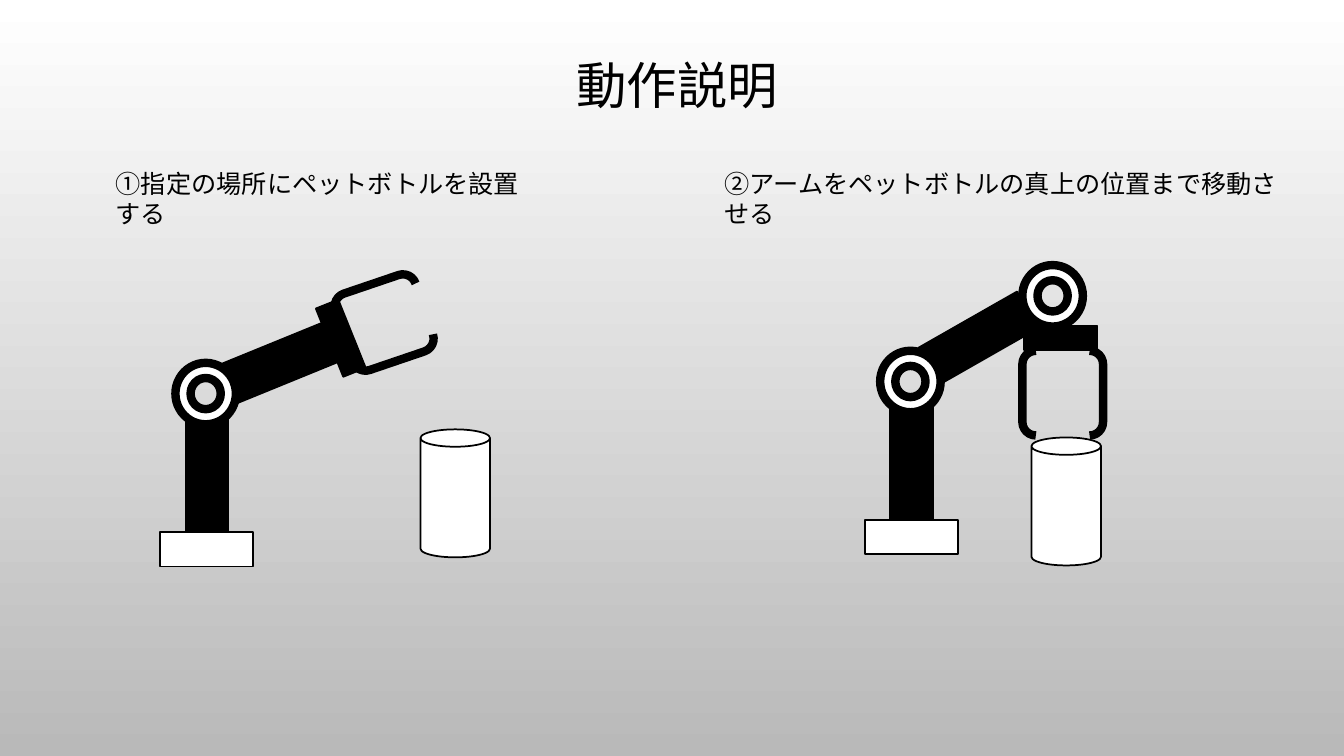
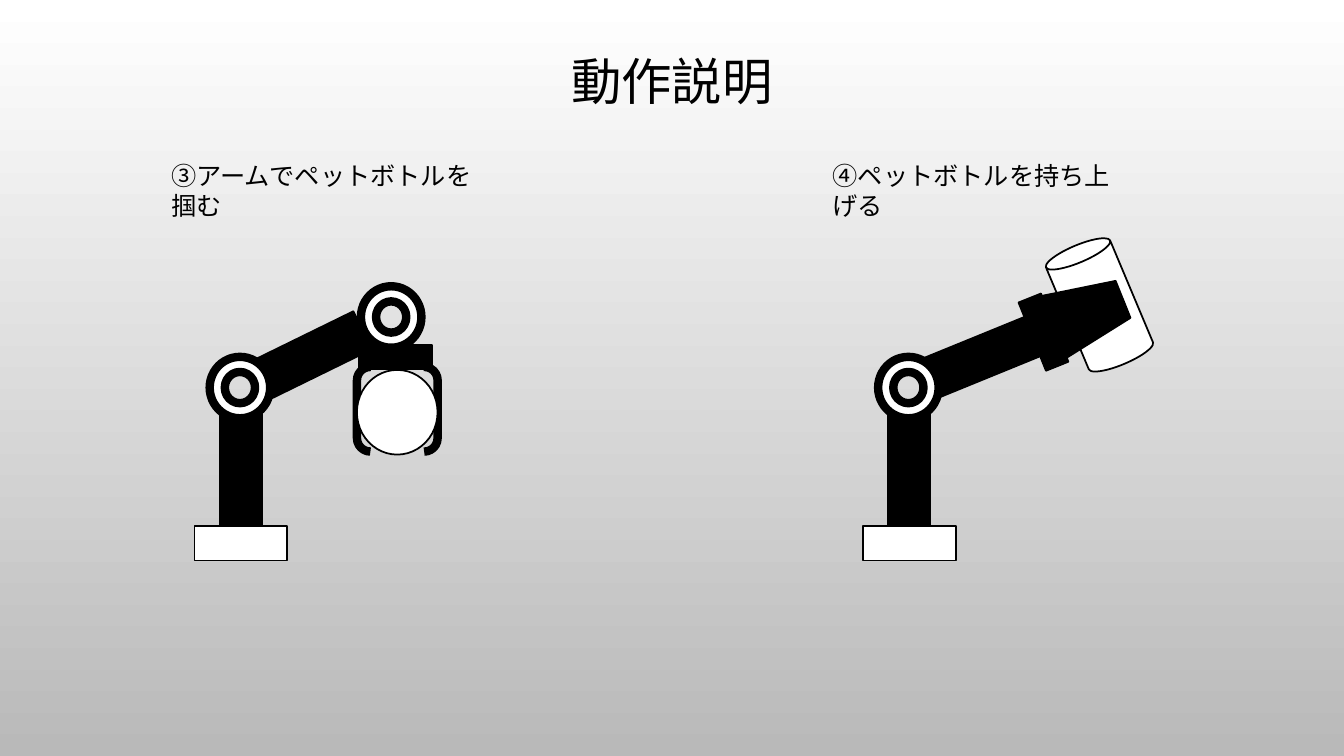
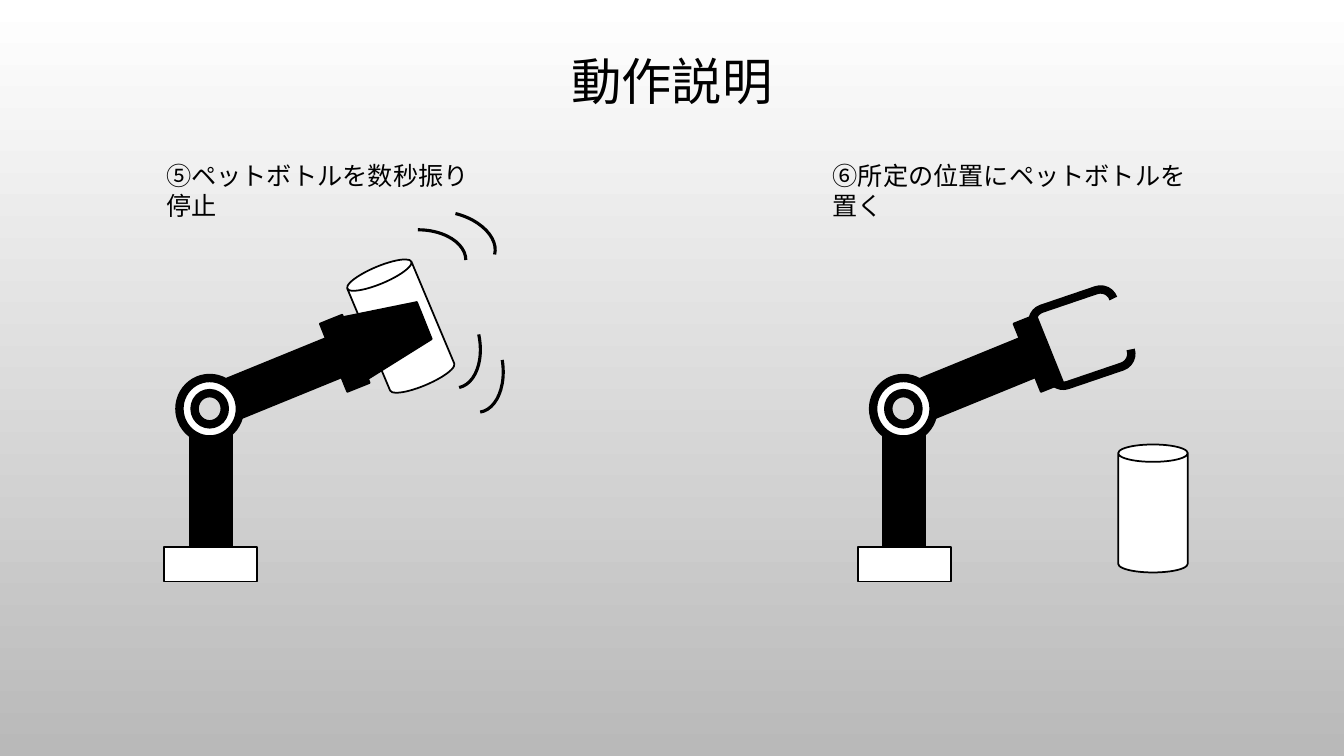
from dataclasses import dataclass
from typing import NamedTuple

from pptx import Presentation
from pptx.dml.color import RGBColor
from pptx.enum.shapes import MSO_SHAPE
from pptx.enum.text import MSO_ANCHOR, MSO_AUTO_SIZE, PP_ALIGN
from pptx.presentation import Presentation as Deck
from pptx.slide import Slide
from pptx.text.text import TextFrame
from pptx.util import Inches, Pt

PROCESS = MSO_SHAPE.FLOWCHART_PROCESS
CONNECTOR = MSO_SHAPE.FLOWCHART_CONNECTOR
MANUAL = MSO_SHAPE.FLOWCHART_MANUAL_OPERATION
RECT, DONUT, CAN = MSO_SHAPE.RECTANGLE, MSO_SHAPE.DONUT, MSO_SHAPE.CAN
BRACKETS, ARC = MSO_SHAPE.DOUBLE_BRACKET, MSO_SHAPE.ARC
CENTER, MIDDLE, TOP = PP_ALIGN.CENTER, MSO_ANCHOR.MIDDLE, MSO_ANCHOR.TOP
GROW = MSO_AUTO_SIZE.SHAPE_TO_FIT_TEXT

# Shared look
SLIDE_W, SLIDE_H = 13.33, 7.5
BLACK, WHITE, GRAY = "000000", "FFFFFF", "B9B9B9"
FONT = "Calibri"
TITLE = "動作説明"
TITLE_SIZE, CAPTION_SIZE = 36, 18
TITLE_W, TITLE_H = 0.85 * SLIDE_W, 1.75
CAPTION_H = 0.4
TITLE_ONLY = 5


class Look(NamedTuple):
    preset: MSO_SHAPE
    width: float
    height: float
    fill: str | None
    line: float = 1.25


LOOKS: dict[str, Look] = {
    "link": Look(PROCESS, 0.42, 1.13, BLACK),
    "base": Look(PROCESS, 0.92, 0.34, WHITE),
    "joint": Look(DONUT, 0.6, 0.61, WHITE, 6),
    "wrist": Look(RECT, 0.24, 0.73, BLACK),
    "open hand": Look(BRACKETS, 0.8, 0.84, None, 6),
    "closed hand": Look(MANUAL, 0.66, 0.73, BLACK),
    "bottle": Look(CAN, 0.69, 1.27, WHITE),
    "bottle end": Look(CONNECTOR, 0.8, 0.84, WHITE),
    "shake mark": Look(ARC, 0.95, 0.6, None, 2.25),
}


class Part(NamedTuple):
    """A part placed in inches from the top left corner of the post."""
    look: str
    dx: float
    dy: float
    rotation: float = 0


def arm(forearm: Part) -> list[Part]:
    return [Part("link", 0, 0), Part("base", -0.25, 1.13), forearm,
            Part("joint", -0.1, -0.55)]


# Poses, each from back to front
RAISED = arm(Part("link", 0.74, -1.12, 247.8)) + [Part("wrist", 1.42, -1.16, 338.1)]
RELEASED = RAISED + [Part("open hand", 1.57, -1.37, 71.2),
                     Part("bottle", 2.33, 0.11)]
HOLDING = RAISED + [Part("bottle", 1.75, -1.7, 337.2),
                    Part("closed hand", 1.66, -1.35, 248.2)]
SHAKING = HOLDING + [Part("shake mark", 2.1, -1.22, 78),
                     Part("shake mark", 1.79, -2.02),
                     Part("shake mark", 2.09, -2.19, 14),
                     Part("shake mark", 2.33, -0.98, 80.6)]
ABOVE = arm(Part("link", 0.66, -1.24, 240.3)) + [
    Part("wrist", 1.57, -1.04, 90), Part("open hand", 1.31, -0.55, 180),
    Part("bottle", 1.4, 0.31), Part("joint", 1.31, -1.4)]
GRIPPING = arm(Part("link", 0.7, -1.13, 243.9)) + [
    Part("wrist", 1.62, -0.91, 90), Part("joint", 1.4, -1.25),
    Part("open hand", 1.36, -0.45, 180), Part("bottle end", 1.36, -0.42)]


@dataclass
class Step:
    caption: str
    caption_left: float
    caption_width: float
    post_left: float
    post_top: float
    pose: list[Part]


@dataclass
class Page:
    title_left: float
    title_top: float
    caption_top: float
    steps: list[Step]


PAGES = [
    Page(1.05, 0, 1.62, [
        Step("①指定の場所にペットボトルを設置する", 1.05, 4.38, 1.84, 4.15, RELEASED),
        Step("②アームをペットボトルの真上の位置まで移動させる", 7.09, 5.76, 8.83, 4.03, ABOVE),
    ]),
    Page(1, -0.04, 1.54, [
        Step("③アームでペットボトルを掴む", 1.6, 3.36, 2.18, 4.09, GRIPPING),
        Step("④ペットボトルを持ち上げる", 8.16, 3.1, 8.81, 4.09, HOLDING),
    ]),
    Page(1, -0.04, 1.54, [
        Step("⑤ペットボトルを数秒振り停止", 1.55, 3.36, 1.88, 4.3, SHAKING),
        Step("⑥所定の位置にペットボトルを置く", 8.16, 3.87, 8.76, 4.3, RELEASED),
    ]),
]


def color(code: str) -> RGBColor:
    return RGBColor.from_string(code)


def set_background(deck: Deck) -> None:
    fill = deck.slide_master.background.fill
    fill.gradient()
    fill.gradient_angle = 270
    for stop, code in zip(fill.gradient_stops, (WHITE, GRAY)):
        stop.color.rgb = color(code)


def write(frame: TextFrame, text: str, size: float) -> None:
    run = frame.paragraphs[0].add_run()
    run.text = text
    run.font.name = FONT
    run.font.size = Pt(size)
    run.font.color.rgb = color(BLACK)


def add_title(slide: Slide, page: Page) -> None:
    title = slide.shapes.title
    title.left, title.top = Inches(page.title_left), Inches(page.title_top)
    title.width, title.height = Inches(TITLE_W), Inches(TITLE_H)
    frame = title.text_frame
    frame.vertical_anchor = MIDDLE
    frame.paragraphs[0].alignment = CENTER
    frame.paragraphs[0].line_spacing = 0.9
    write(frame, TITLE, TITLE_SIZE)


def add_caption(slide: Slide, step: Step, top: float) -> None:
    caption = slide.shapes.add_textbox(
        Inches(step.caption_left), Inches(top),
        Inches(step.caption_width), Inches(CAPTION_H))
    frame = caption.text_frame
    frame.word_wrap = True
    frame.auto_size = GROW
    frame.vertical_anchor = TOP
    write(frame, step.caption, CAPTION_SIZE)


def add_part(slide: Slide, part: Part, step: Step) -> None:
    look = LOOKS[part.look]
    shape = slide.shapes.add_shape(
        look.preset,
        Inches(step.post_left + part.dx), Inches(step.post_top + part.dy),
        Inches(look.width), Inches(look.height))
    shape.rotation = part.rotation
    shape.shadow.inherit = False
    if look.fill is None:
        shape.fill.background()
    else:
        shape.fill.solid()
        shape.fill.fore_color.rgb = color(look.fill)
    shape.line.color.rgb = color(BLACK)
    shape.line.width = Pt(look.line)


def main() -> None:
    deck = Presentation()
    deck.slide_width, deck.slide_height = Inches(SLIDE_W), Inches(SLIDE_H)
    set_background(deck)
    for page in PAGES:
        slide = deck.slides.add_slide(deck.slide_layouts[TITLE_ONLY])
        add_title(slide, page)
        for step in page.steps:
            add_caption(slide, step, page.caption_top)
            for part in step.pose:
                add_part(slide, part, step)
    deck.save("out.pptx")


if __name__ == "__main__":
    main()
